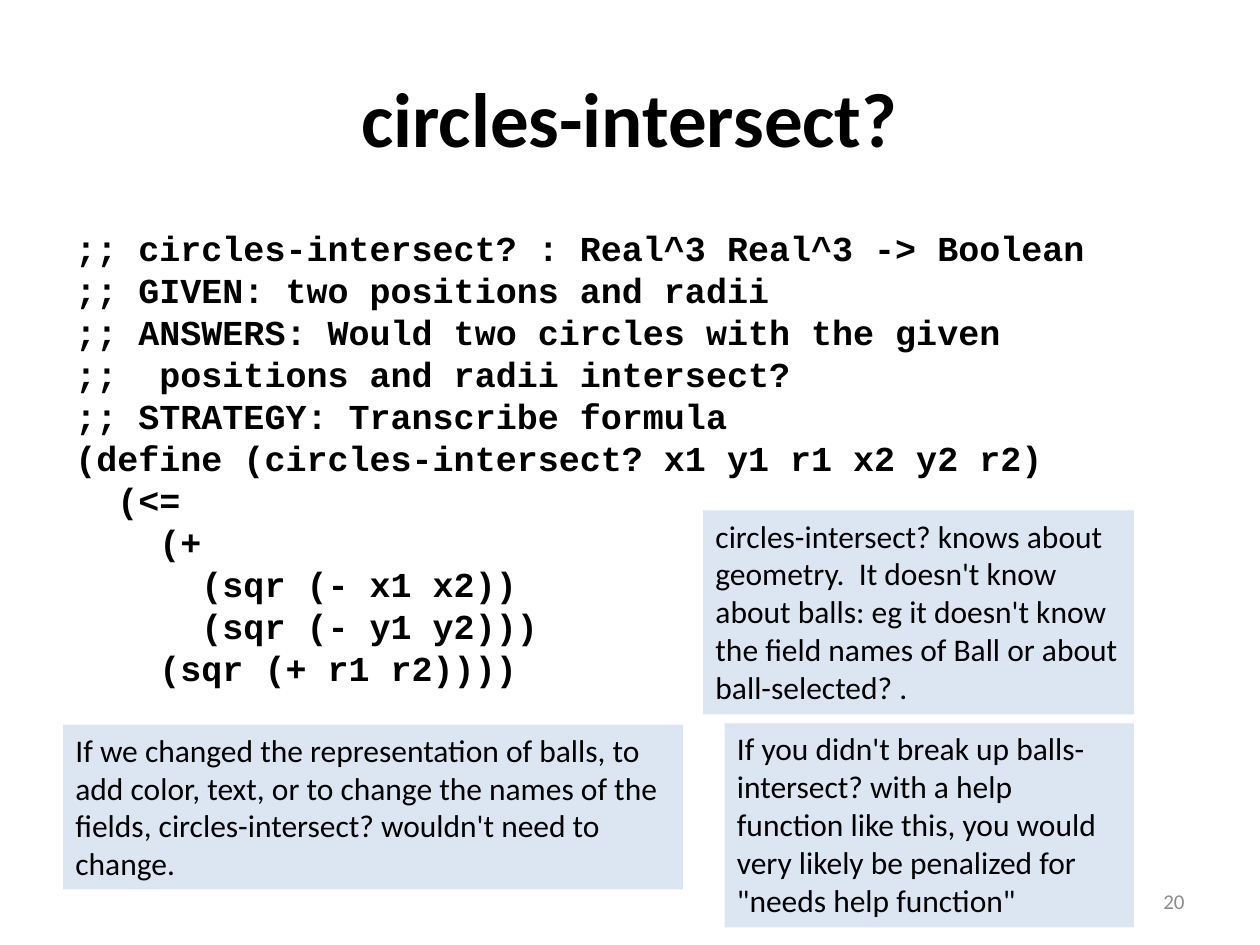
from dataclasses import dataclass

from pptx import Presentation
from pptx.dml.color import RGBColor as RGB
from pptx.enum.shapes import MSO_SHAPE as Preset
from pptx.enum.text import MSO_ANCHOR as Anchor, PP_ALIGN as Align
from pptx.util import Inches, Pt

CODE = """\
;; circles-intersect? : Real^3 Real^3 -> Boolean
;; GIVEN: two positions and radii
;; ANSWERS: Would two circles with the given
;;  positions and radii intersect?
;; STRATEGY: Transcribe formula
(define (circles-intersect? x1 y1 r1 x2 y2 r2)
  (<=
    (+
      (sqr (- x1 x2))
      (sqr (- y1 y2)))
    (sqr (+ r1 r2))))"""

NOTES = [
    ((5.58, 4.05, 3.42, 1.62),
     "circles-intersect? knows about geometry.  It doesn't know about balls: "
     "eg it doesn't know the field names of Ball or about ball-selected? ."),
    ((0.5, 5.75, 4.92, 1.31),
     "If we changed the representation of balls, to add color, text, or to change "
     "the names of the fields, circles-intersect? wouldn't need to change."),
    ((5.75, 5.74, 3.25, 1.62),
     "If you didn't break up balls-intersect? with a help function like this, "
     "you would very likely be penalized for \"needs help function\""),
]


@dataclass(frozen=True)
class Theme:
    """Fonts, type sizes and colours of the slide."""
    prose: str = "Calibri"
    mono: str = "Courier New"
    title_size: int = 44
    code_size: int = 20
    code_pitch: int = 24
    note_size: int = 18
    number_size: int = 12
    ink: RGB = RGB(0, 0, 0)
    muted: RGB = RGB(0x8C, 0x8C, 0x8C)
    note_fill: RGB = RGB(0xDC, 0xE6, 0xF2)


class CodeSlide:
    """Draws the parts of a code slide in one theme."""

    def __init__(self, slide, theme):
        self.slide = slide
        self.theme = theme

    def _write(self, frame, text, size, font=None, color=None,
               bold=False, align=Align.LEFT, anchor=Anchor.TOP):
        frame.word_wrap = True
        frame.vertical_anchor = anchor
        frame.text = text
        for line in frame.paragraphs:
            line.alignment = align
            line.font.name = font or self.theme.prose
            line.font.size = Pt(size)
            line.font.bold = bold
            line.font.color.rgb = color or self.theme.ink

    def _text_frame(self, box):
        return self.slide.shapes.add_textbox(*map(Inches, box)).text_frame

    def title(self, box, text):
        heading = self.slide.shapes.title
        heading.left, heading.top, heading.width, heading.height = map(Inches, box)
        self._write(heading.text_frame, text, self.theme.title_size, bold=True,
                    align=Align.CENTER, anchor=Anchor.MIDDLE)

    def code(self, box, text):
        listing = self._text_frame(box)
        self._write(listing, text, self.theme.code_size, self.theme.mono, bold=True)
        for line in listing.paragraphs:
            line.line_spacing = Pt(self.theme.code_pitch)

    def note(self, box, text):
        panel = self.slide.shapes.add_shape(Preset.RECTANGLE, *map(Inches, box))
        panel.shadow.inherit = False
        panel.fill.solid()
        panel.fill.fore_color.rgb = self.theme.note_fill
        panel.line.fill.background()
        self._write(panel.text_frame, text, self.theme.note_size)

    def number(self, box, text):
        self._write(self._text_frame(box), text, self.theme.number_size,
                    color=self.theme.muted, align=Align.RIGHT, anchor=Anchor.MIDDLE)


def main():
    deck = Presentation()
    deck.slide_width, deck.slide_height = Inches(10), Inches(7.5)
    page = CodeSlide(deck.slides.add_slide(deck.slide_layouts[5]), Theme())
    page.title((0.5, 0.3, 9, 1.25), "circles-intersect?")
    page.code((0.5, 1.75, 9, 4.95), CODE)
    page.number((7.17, 6.95, 2.33, 0.4), "20")
    for box, text in NOTES:
        page.note(box, text)
    deck.save("out.pptx")


if __name__ == "__main__":
    main()
